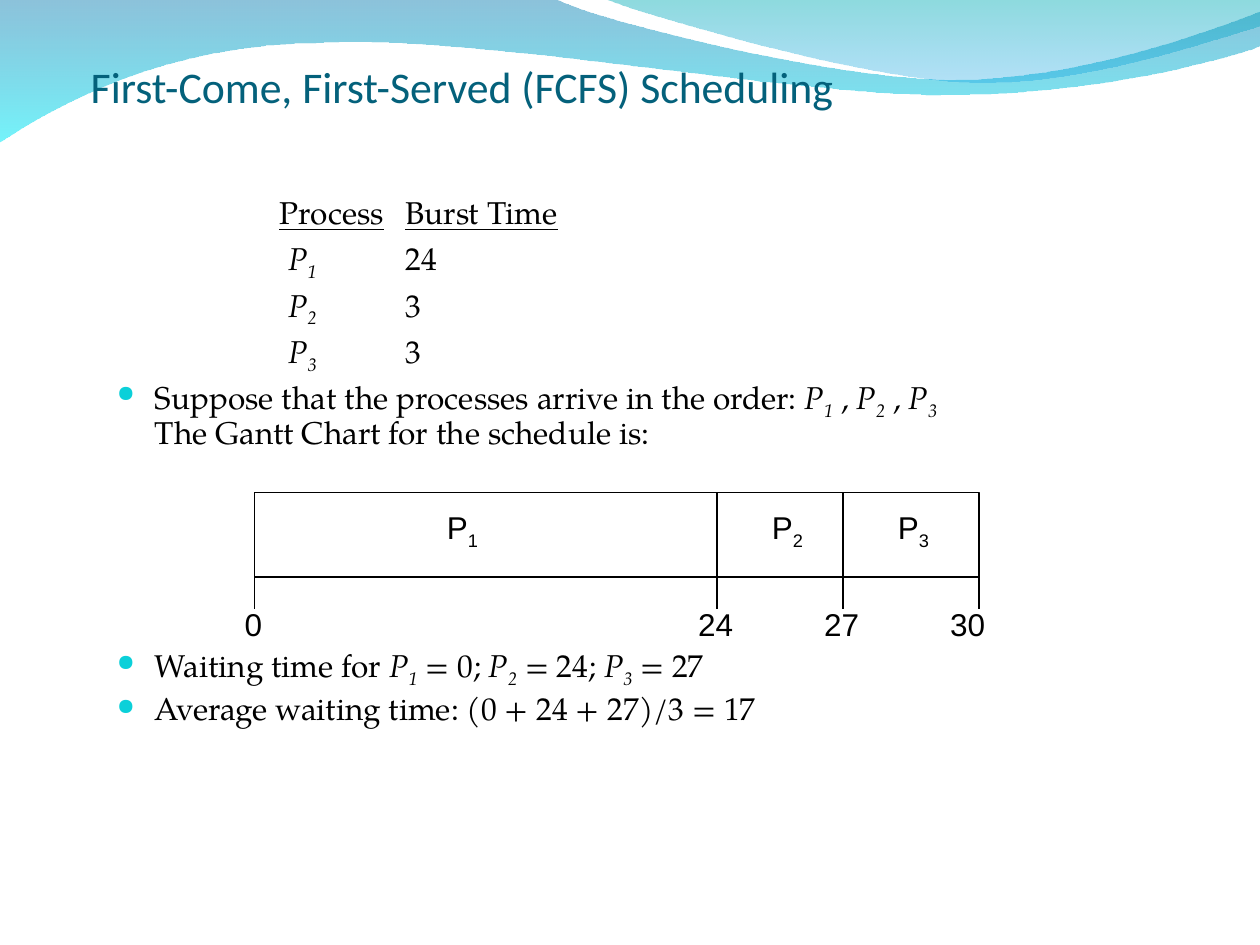
from dataclasses import dataclass

from lxml import etree
from pptx import Presentation
from pptx.dml.color import RGBColor
from pptx.enum.shapes import MSO_CONNECTOR, MSO_SHAPE
from pptx.enum.text import MSO_ANCHOR, PP_ALIGN
from pptx.oxml.ns import qn
from pptx.util import Inches, Pt

LEFT, CENTER = PP_ALIGN.LEFT, PP_ALIGN.CENTER
MIDDLE, BOTTOM = MSO_ANCHOR.MIDDLE, MSO_ANCHOR.BOTTOM
RECTANGLE, STRAIGHT = MSO_SHAPE.RECTANGLE, MSO_CONNECTOR.STRAIGHT
TITLE_ONLY = 5


@dataclass(frozen=True)
class Theme:
    """Colours, fonts and type sizes of the slide."""
    title: str = "04617B"
    ink: str = "000000"
    paper: str = "FFFFFF"
    bullet: str = "0BD0D9"
    wave: tuple = (("0079AF", 45), ("00EBF8", 55))
    crest: tuple = (("00ADB6", 45), ("009BE5", 30))
    title_font: str = "Calibri"
    body_font: str = "TeX Gyre Pagella"
    chart_font: str = "Arial"
    title_size: int = 25
    body_size: int = 18
    line_width: float = 0.75


@dataclass(frozen=True)
class Box:
    """A region of the slide in inches."""
    left: float
    top: float
    width: float
    height: float

    def lengths(self):
        """Return the region as slide lengths."""
        return [Inches(value) for value in (self.left, self.top, self.width, self.height)]


THEME = Theme()
WAVE = [
    [(4.41, 0)],
    [(4.77, 0.18), (6.65, 0.64), (7.59, 0.64)],
    [(8.54, 0.64), (9.59, 0.27), (10.01, 0.1)],
    [(10.02, 0.37)],
    [(9.84, 0.45), (8.71, 0.77), (7.47, 0.76)],
    [(6.23, 0.76), (3.83, 0.29), (2.58, 0.35)],
    [(1.3, 0.36), (0.47, 0.84), (0, 1.14)],
]
CREST = [
    [(0.3, 0.12), (2.03, 0.63), (2.9, 0.66)],
    [(3.77, 0.7), (4.82, 0.33), (5.21, 0.22)],
    [(5.21, 0.01)],
]
BURST_TIMES = [("P1", "24"), ("P2", "3"), ("P3", "3")]
BULLETS = [
    ("Suppose that the processes arrive in the order: |P1| , |P2| , |P3|"
     "\nThe Gantt Chart for the schedule is:", 4),
    ("Waiting time for |P1| = 0; |P2| = 24; |P3| = 27", 112),
    ("Average waiting time: (0 + 24 + 27)/3 = 17", 4.5),
]
GANTT_TICKS = [("0", 0, -0.01), ("24", 3.67, 3.66), ("27", 4.67, 4.66), ("30", 5.75, 5.66)]
GANTT_PROCESSES = [("P1", 1.65), ("P2", 4.23), ("P3", 5.23)]


def set_attributes(target, values):
    """Set each named value on the target."""
    for name, value in values.items():
        setattr(target, name, value)


def format_frame(frame, left=0.1, top=0.05, right=0.1, bottom=0.05, **values):
    """Set insets in inches and other values of a text frame."""
    set_attributes(frame, {
        "margin_left": Inches(left), "margin_top": Inches(top),
        "margin_right": Inches(right), "margin_bottom": Inches(bottom), **values})


def add_run(paragraph, text, font_name, size=THEME.body_size, color=THEME.ink, **values):
    """Add a formatted run."""
    run = paragraph.add_run()
    run.text = text
    set_attributes(run.font, {"name": font_name, "size": Pt(size), **values})
    run.font.color.rgb = RGBColor.from_string(color)
    return run


def add_process_name(paragraph, name, font_name, **values):
    """Add a letter followed by its subscript number."""
    add_run(paragraph, name[0], font_name, **values)
    number = add_run(paragraph, name[1:], font_name, **values)
    number._r.get_or_add_rPr().set("baseline", "-25000")


def add_sentence(paragraph, text):
    """Add lines in which bars enclose process names."""
    for line_index, line in enumerate(text.split("\n")):
        if line_index:
            paragraph.add_line_break()
        for index, part in enumerate(line.split("|")):
            if index % 2:
                add_process_name(paragraph, part, THEME.body_font, italic=True)
            elif part:
                add_run(paragraph, part, THEME.body_font)


def add_bullet(paragraph):
    """Give a paragraph a hanging round bullet."""
    properties = paragraph._p.get_or_add_pPr()
    properties.set("marL", str(Inches(0.3)))
    properties.set("indent", str(-Inches(0.3)))
    color = etree.SubElement(properties, qn("a:buClr"))
    etree.SubElement(color, qn("a:srgbClr"), val=THEME.bullet)
    etree.SubElement(properties, qn("a:buSzPct"), val="72000")
    etree.SubElement(properties, qn("a:buChar"), char="●")


def add_tab_stops(paragraph, positions):
    """Add left tab stops at positions in inches."""
    stops = etree.SubElement(paragraph._p.get_or_add_pPr(), qn("a:tabLst"))
    for position in positions:
        etree.SubElement(stops, qn("a:tab"), pos=str(Inches(position)), algn="l")


def bend_segments(shape, segments):
    """Turn each run of three control points into a cubic curve."""
    lines = iter(list(shape.element.iter(qn("a:lnTo"))))
    for segment in segments:
        members = [next(lines) for _ in segment]
        if len(members) == 3:
            curve = etree.Element(qn("a:cubicBezTo"))
            members[0].addprevious(curve)
            for member in members:
                curve.append(member[0])
                member.getparent().remove(member)


def add_wave(slide, box, segments, stops):
    """Draw a translucent wave behind the title."""
    points = [(Inches(box.left + x), Inches(box.top + y))
              for segment in segments for x, y in segment]
    builder = slide.shapes.build_freeform(Inches(box.left), Inches(box.top))
    builder.add_line_segments(points, close=True)
    shape = builder.convert_to_shape()
    bend_segments(shape, segments)
    shape.shadow.inherit = False
    shape.line.fill.background()
    shape.fill.gradient()
    shape.fill.gradient_angle = 270
    for stop, (color, _) in zip(shape.fill.gradient_stops, stops):
        stop.color.rgb = RGBColor.from_string(color)
    for element, (_, opacity) in zip(shape.element.spPr.iter(qn("a:srgbClr")), stops):
        etree.SubElement(element, qn("a:alpha"), val=str(opacity * 1000))
    slide.shapes.title.element.addprevious(shape.element)


def add_title(slide, box, text):
    """Place and format the title placeholder."""
    title = slide.shapes.title
    title.left, title.top, title.width, title.height = box.lengths()
    format_frame(title.text_frame, 0, 0.05, 0, 0, vertical_anchor=BOTTOM, word_wrap=True)
    paragraph = title.text_frame.paragraphs[0]
    paragraph.alignment = LEFT
    add_run(paragraph, text, THEME.title_font, THEME.title_size, THEME.title)


def add_body(slide, box):
    """Add the burst times and the bullets, leaving room for the Gantt chart."""
    frame = slide.shapes.add_textbox(*box.lengths()).text_frame
    format_frame(frame, word_wrap=True)
    heading = frame.paragraphs[0]
    heading.line_spacing = 0.9
    add_tab_stops(heading, (1.29, 2.29))
    for text in ("Process", "Burst Time"):
        add_run(heading, "\t", THEME.body_font)
        add_run(heading, text, THEME.body_font, underline=True)
    for name, burst in BURST_TIMES:
        paragraph = frame.add_paragraph()
        set_attributes(paragraph, {"line_spacing": 0.9, "space_before": Pt(4.5)})
        add_tab_stops(paragraph, (1.36, 2.29))
        add_sentence(paragraph, f"\t|{name}|\t{burst}")
    for text, space in BULLETS:
        paragraph = frame.add_paragraph()
        set_attributes(paragraph, {"line_spacing": 0.9, "space_before": Pt(space)})
        add_bullet(paragraph)
        add_sentence(paragraph, text)


def add_label(shapes, center, top, width, height):
    """Add a centred label box and return its paragraph."""
    box = Box(center - width / 2, top, width, height)
    frame = shapes.add_textbox(*box.lengths()).text_frame
    format_frame(frame, vertical_anchor=MIDDLE, word_wrap=False)
    frame.paragraphs[0].alignment = CENTER
    return frame.paragraphs[0]


def add_rule(shapes, x, top, bottom):
    """Draw a thin vertical line."""
    rule = shapes.add_connector(STRAIGHT, Inches(x), Inches(top), Inches(x), Inches(bottom))
    rule.line.color.rgb = RGBColor.from_string(THEME.ink)
    rule.line.width = Pt(THEME.line_width)
    etree.SubElement(rule.element.spPr, qn("a:effectLst"))


def add_gantt(slide, box):
    """Draw the Gantt bar with its processes and time marks."""
    shapes = slide.shapes.add_group_shape().shapes
    bar = shapes.add_shape(RECTANGLE, *box.lengths())
    bar.shadow.inherit = False
    bar.fill.solid()
    bar.fill.fore_color.rgb = RGBColor.from_string(THEME.paper)
    bar.line.color.rgb = RGBColor.from_string(THEME.ink)
    bar.line.width = Pt(THEME.line_width)
    bottom = box.top + box.height
    for name, offset in GANTT_PROCESSES:
        paragraph = add_label(shapes, box.left + offset, box.top + 0.07, 0.45, 0.44)
        add_process_name(paragraph, name, THEME.chart_font)
    for time, offset, label_offset in GANTT_TICKS:
        x = box.left + offset
        if 0 < offset < box.width:
            add_rule(shapes, x, box.top, bottom)
        add_rule(shapes, x, bottom, bottom + 0.25)
        width = 0.2 + 0.14 * len(time)
        paragraph = add_label(shapes, box.left + label_offset, bottom + 0.17, width, 0.4)
        add_run(paragraph, time, THEME.chart_font)


def main():
    """Build and save the presentation."""
    presentation = Presentation()
    presentation.slide_width, presentation.slide_height = Inches(10), Inches(7.5)
    slide = presentation.slides.add_slide(presentation.slide_layouts[TITLE_ONLY])
    add_wave(slide, Box(-0.01, -0.01, 10.02, 1.14), WAVE, THEME.wave)
    add_wave(slide, Box(4.79, -0.01, 5.21, 0.7), CREST, THEME.crest)
    add_title(slide, Box(0.72, 0.39, 9.12, 0.5), "First-Come, First-Served (FCFS) Scheduling")
    add_body(slide, Box(0.83, 1.52, 8.27, 4.5))
    add_gantt(slide, Box(2.02, 3.91, 5.75, 0.67))
    presentation.save("out.pptx")


if __name__ == "__main__":
    main()
